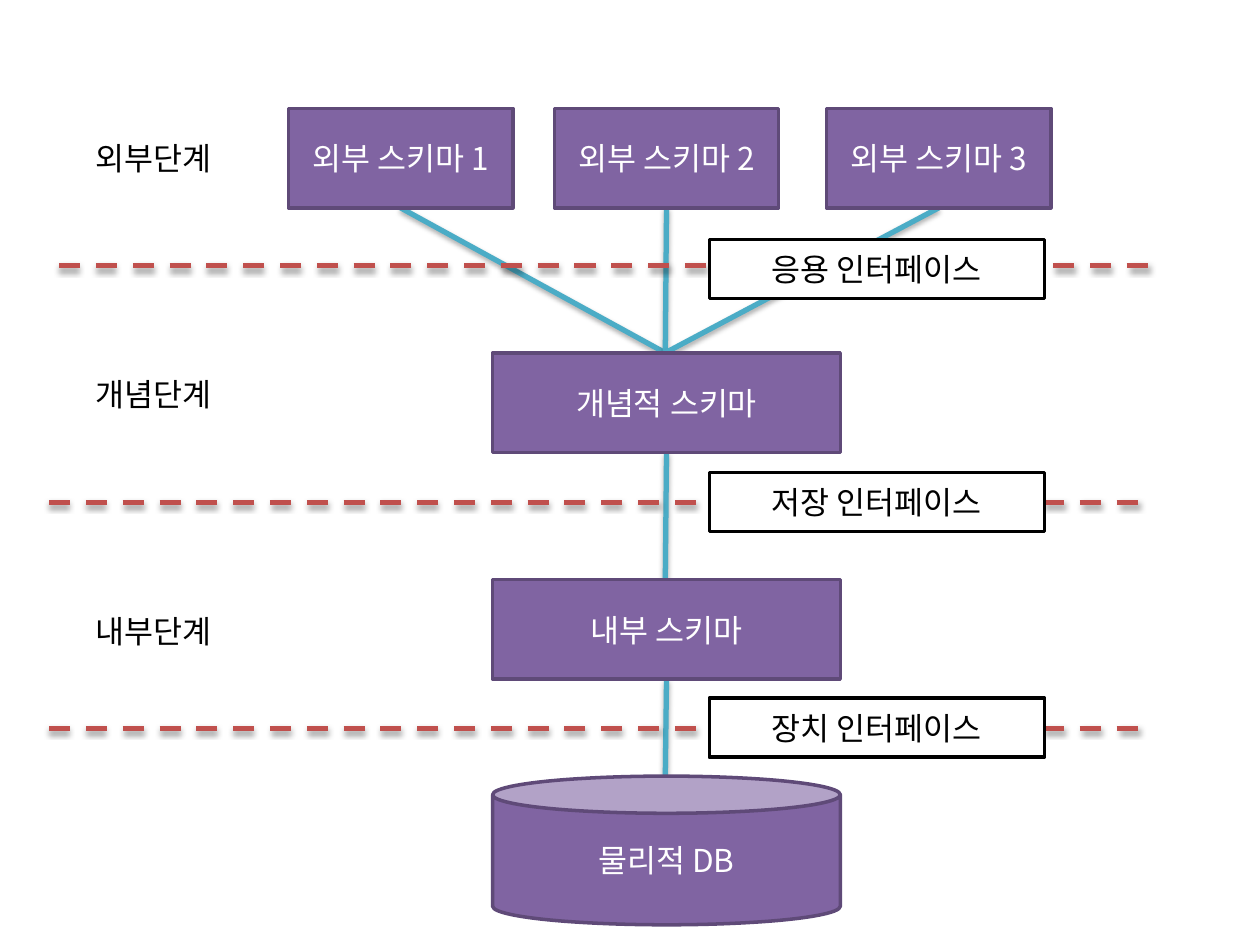
"""Build a slide showing the three-level database schema architecture."""
from lxml.etree import SubElement
from pptx import Presentation
from pptx.dml.color import RGBColor
from pptx.enum.dml import MSO_LINE
from pptx.enum.shapes import MSO_CONNECTOR, MSO_SHAPE
from pptx.enum.text import MSO_ANCHOR, PP_ALIGN
from pptx.oxml.ns import qn
from pptx.util import Inches, Pt

COLOURS = {
    "schema": "8064A2", "schema_edge": "5F4A78", "link": "4BACC6",
    "border": "C0504D", "white": "FFFFFF", "black": "000000",
}
FONT = "Noto Sans CJK KR"
STYLES = {
    "schema": ("schema", "schema_edge", "white"),
    "level": ("white", "white", "black"),
    "interface": ("white", "black", "black"),
}


def add_box(style, text, left, top, width, height, kind=MSO_SHAPE.RECTANGLE):
    fill, edge, ink = (RGBColor.from_string(COLOURS[name]) for name in STYLES[style])
    box = slide.shapes.add_shape(kind, Inches(left), Inches(top), Inches(width), Inches(height))
    box.shadow.inherit = False
    box.fill.solid()
    box.fill.fore_color.rgb = fill
    box.line.color.rgb = edge
    box.line.width = Pt(2)
    box.text_frame.word_wrap = True
    box.text_frame.vertical_anchor = MSO_ANCHOR.MIDDLE
    para = box.text_frame.paragraphs[0]
    para.alignment = PP_ALIGN.CENTER
    span = para.add_run()
    span.text = text
    for name, value in {"size": Pt(18), "name": FONT, "bold": False}.items():
        setattr(span.font, name, value)
    span.font.color.rgb = ink
    SubElement(span.font._element, qn("a:ea"), typeface=FONT)


def add_line(colour, start, end, dash=None):
    line = slide.shapes.add_connector(MSO_CONNECTOR.STRAIGHT, *map(Inches, start + end))
    line.line.color.rgb = RGBColor.from_string(COLOURS[colour])
    line.line.width = Pt(3)
    line.line.dash_style = dash
    effects = SubElement(line._element.spPr, qn("a:effectLst"))
    shadow = SubElement(effects, qn("a:outerShdw"), blurRad=str(Pt(3.1)), dist=str(Pt(1.8)),
                        dir="5400000", rotWithShape="0")
    shade = SubElement(shadow, qn("a:srgbClr"), val=COLOURS["black"])
    SubElement(shade, qn("a:alpha"), val="35000")


deck = Presentation()
deck.slide_width, deck.slide_height = Inches(10), Inches(7.5)
slide = deck.slides.add_slide(deck.slide_layouts[6])

BOX_HEIGHT = 0.79
EXTERNAL_TOP, EXTERNAL_WIDTH = 0.86, 1.78
EXTERNAL_LEFTS = (2.29, 4.4, 6.56)
CORE_LEFT, CORE_WIDTH = 3.91, 2.76
CENTRE = 5.28
CONCEPT_TOP, INTERNAL_TOP, STORE_TOP = 2.8, 4.6, 6.16

for left in EXTERNAL_LEFTS:
    add_line("link", (left + EXTERNAL_WIDTH / 2, EXTERNAL_TOP + BOX_HEIGHT), (CENTRE, CONCEPT_TOP))
for upper, lower in ((CONCEPT_TOP, INTERNAL_TOP), (INTERNAL_TOP, STORE_TOP)):
    add_line("link", (CORE_LEFT + CORE_WIDTH / 2, upper + BOX_HEIGHT), (CENTRE, lower))

for number, left in enumerate(EXTERNAL_LEFTS, 1):
    add_box("schema", f"외부 스키마 {number}", left, EXTERNAL_TOP, EXTERNAL_WIDTH, BOX_HEIGHT)
for text, top in (("개념적 스키마", CONCEPT_TOP), ("내부 스키마", INTERNAL_TOP)):
    add_box("schema", text, CORE_LEFT, top, CORE_WIDTH, BOX_HEIGHT)
add_box("schema", "물리적 DB", CORE_LEFT, STORE_TOP, CORE_WIDTH, 1.18, MSO_SHAPE.CAN)

for text, top in (("외부단계", EXTERNAL_TOP), ("개념단계", 2.73), ("내부단계", 4.61)):
    add_box("level", text, 0.49, top, 1.46, BOX_HEIGHT)

for text, left, middle, top in (
    ("응용 인터페이스", 0.47, 2.11, 1.9),
    ("저장 인터페이스", 0.39, 3.99, 3.75),
    ("장치 인터페이스", 0.39, 5.78, 5.54),
):
    add_line("border", (left, middle), (left + 8.66, middle), MSO_LINE.DASH)
    add_box("interface", text, 5.63, top, 2.66, 0.47)

deck.save("out.pptx")
